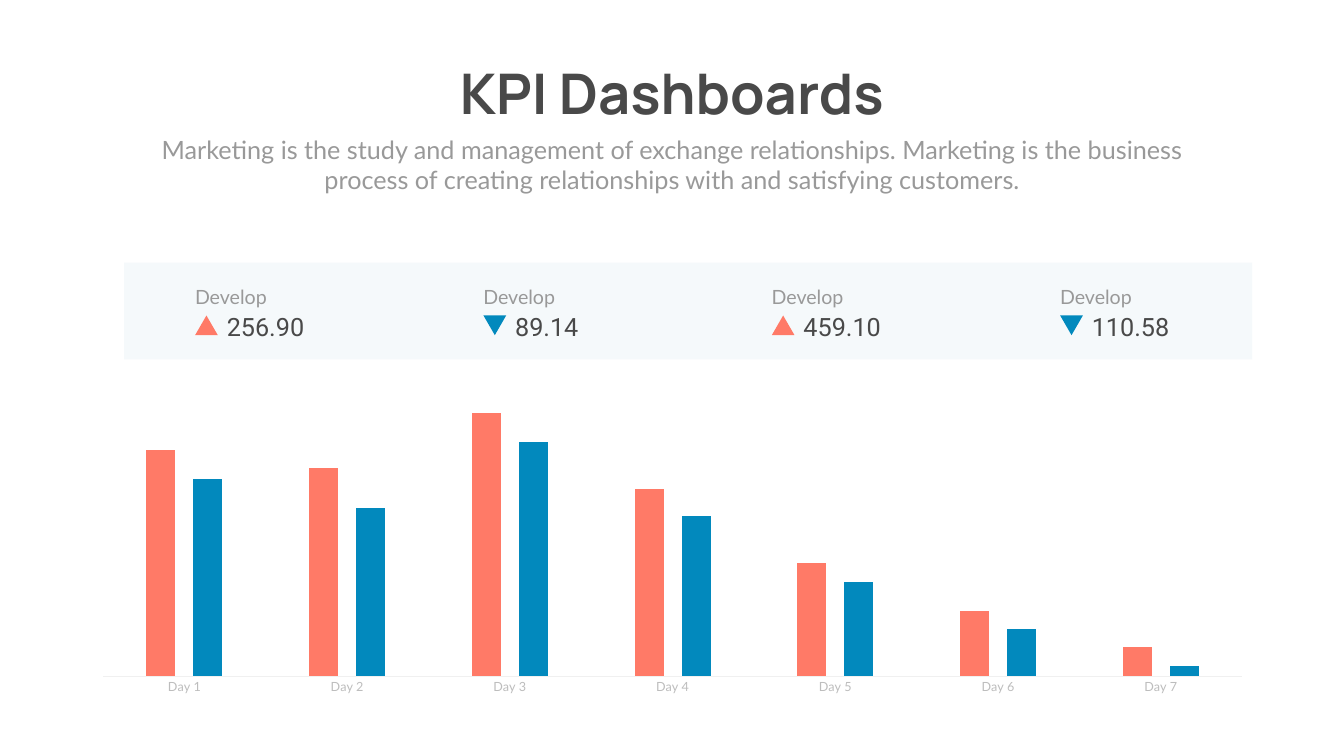
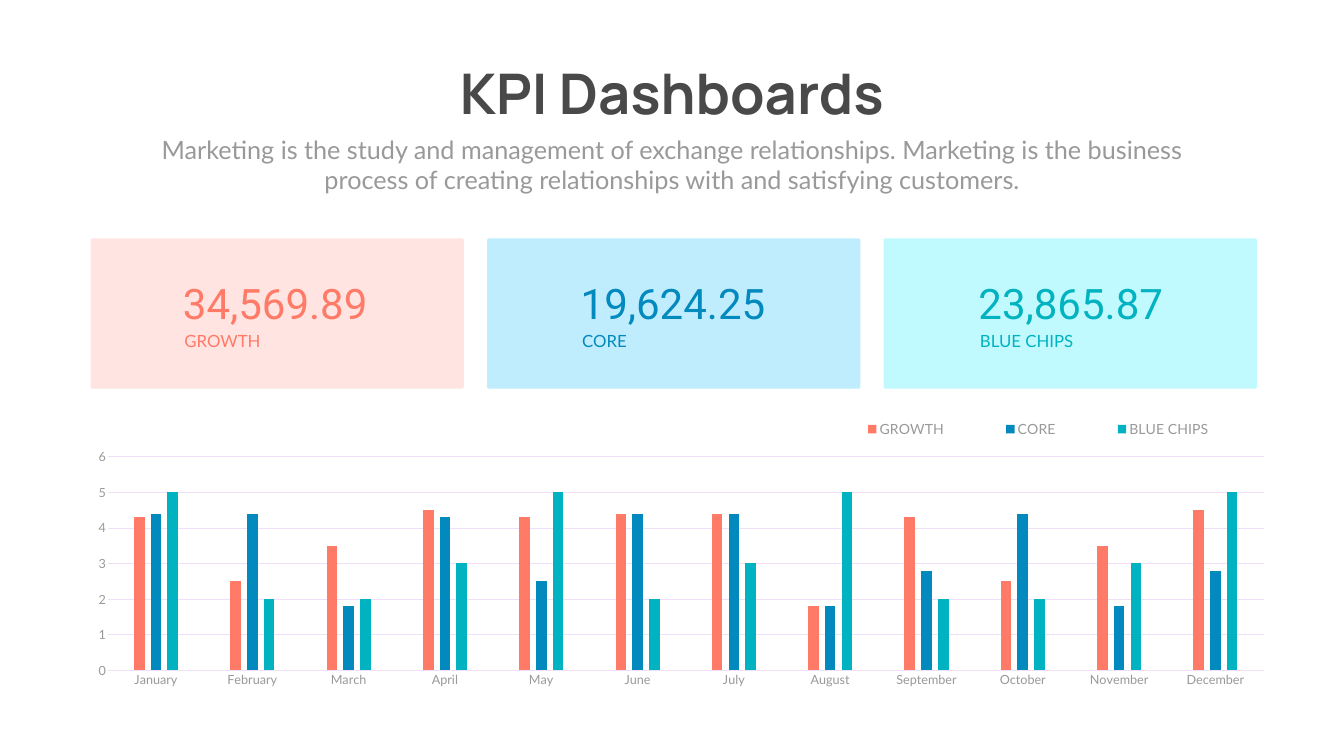
from lxml import etree
from pptx import Presentation
from pptx.chart.data import CategoryChartData
from pptx.dml.color import RGBColor
from pptx.enum.chart import XL_CHART_TYPE, XL_LEGEND_POSITION, XL_TICK_MARK
from pptx.enum.shapes import MSO_SHAPE
from pptx.enum.text import MSO_AUTO_SIZE, PP_ALIGN
from pptx.oxml.ns import qn
from pptx.util import Inches, Pt

COLUMNS = XL_CHART_TYPE.COLUMN_CLUSTERED
LEGEND_BOTTOM = XL_LEGEND_POSITION.BOTTOM
NO_TICK = XL_TICK_MARK.NONE
ROUNDED = MSO_SHAPE.ROUNDED_RECTANGLE
TRIANGLE = MSO_SHAPE.ISOSCELES_TRIANGLE
FIT_SHAPE = MSO_AUTO_SIZE.SHAPE_TO_FIT_TEXT
CENTER = PP_ALIGN.CENTER

# Shared style
CORAL, BLUE, TEAL = "FF7A67", "0289BD", "01B2C0"
DARK, GRAY, PALE_GRAY = "494949", "999999", "BDBDBD"
BAND, AXIS_LINE, GRID_LINE = "F5F9FB", "F0F0F0", "F0DFF8"
HEAD_FONT, BODY_FONT, NUMBER_FONT = "Manrope", "Lato", "Roboto"

# Content
TITLE = "KPI Dashboards"
SUBTITLE = ("Marketing is the study and management of exchange relationships. "
            "Marketing is the business process of creating relationships with "
            "and satisfying customers.")
STATS = [  # label, value, rising
    ("Develop", "256.90", True),
    ("Develop", "89.14", False),
    ("Develop", "459.10", True),
    ("Develop", "110.58", False),
]
DAYS = [f"Day {number}" for number in range(1, 8)]
DAY_SERIES = [
    ("Series 1", CORAL, [86, 79, 100, 71, 43, 25, 11]),
    ("Series 2", BLUE, [75, 64, 89, 61, 36, 18, 4]),
]
CARDS = [  # value, label, text colour, card colour
    ("34,569.89", "GROWTH", CORAL, "FFE4E1"),
    ("19,624.25", "CORE", BLUE, "C0EDFE"),
    ("23,865.87", "BLUE CHIPS", TEAL, "C0FAFF"),
]
MONTHS = ["January", "February", "March", "April", "May", "June", "July",
          "August", "September", "October", "November", "December"]
MONTH_VALUES = [
    [4.3, 2.5, 3.5, 4.5, 4.3, 4.4, 4.4, 1.8, 4.3, 2.5, 3.5, 4.5],
    [4.4, 4.4, 1.8, 4.3, 2.5, 4.4, 4.4, 1.8, 2.8, 4.4, 1.8, 2.8],
    [5, 2, 2, 3, 5, 2, 3, 5, 2, 2, 3, 5],
]
MONTH_SERIES = [(label, color, values)
                for (_, label, color, _), values in zip(CARDS, MONTH_VALUES)]


def rgb(color):
    return RGBColor.from_string(color)


def style_font(font, size, color, name=BODY_FONT, bold=False):
    font.size = Pt(size)
    font.name = name
    font.bold = bold
    font.color.rgb = rgb(color)


def add_text(page, area, text, size, color, name=BODY_FONT, bold=False,
             align=None, wrap=True, line_spacing=None):
    box = page.shapes.add_textbox(*map(Inches, area))
    frame = box.text_frame
    frame.word_wrap = wrap
    frame.auto_size = FIT_SHAPE
    para = frame.paragraphs[0]
    para.alignment = align
    if line_spacing:
        para.line_spacing = Pt(line_spacing)
    span = para.add_run()
    span.text = text
    style_font(span.font, size, color, name, bold)


def add_block(page, kind, area, color):
    block = page.shapes.add_shape(kind, *map(Inches, area))
    block.shadow.inherit = False
    block.fill.solid()
    block.fill.fore_color.rgb = rgb(color)
    block.line.fill.background()
    return block


def place_part(part, index, area, inner=False):
    """Give a chart part a fixed place, as fractions of the chart."""
    for old in part.findall(qn("c:layout")):
        part.remove(old)
    layout = etree.Element(qn("c:layout"))
    manual = etree.SubElement(layout, qn("c:manualLayout"))
    settings = [("layoutTarget", "inner")] if inner else []
    settings += [("xMode", "edge"), ("yMode", "edge")]
    settings += zip("xywh", area)
    for tag, value in settings:
        etree.SubElement(manual, qn(f"c:{tag}")).set("val", str(value))
    part.insert(index, layout)


def add_columns(page, area, categories, series, gap, overlap, top, plot_area):
    data = CategoryChartData()
    data.categories = categories
    for name, _, values in series:
        data.add_series(name, values)
    chart = page.shapes.add_chart(COLUMNS, *map(Inches, area), data).chart
    chart.has_title = False
    chart.has_legend = False
    style_font(chart.font, 18, GRAY)
    plot = chart.plots[0]
    plot.vary_by_categories = False
    plot.gap_width = gap
    plot.overlap = overlap
    for bars, (_, color, _) in zip(plot.series, series):
        bars.format.fill.solid()
        bars.format.fill.fore_color.rgb = rgb(color)
    for axis in (chart.category_axis, chart.value_axis):
        axis.major_tick_mark = NO_TICK
        axis.minor_tick_mark = NO_TICK
        axis.has_major_gridlines = False
        axis.format.line.fill.background()
        style_font(axis.tick_labels.font, 18, GRAY)
    chart.value_axis.minimum_scale = 0
    chart.value_axis.maximum_scale = top
    place_part(chart.element.find(f".//{qn('c:plotArea')}"), 0, plot_area, inner=True)
    return chart


def style_line(line, color):
    line.color.rgb = rgb(color)
    line.width = Pt(0.75)


def add_page(deck):
    page = deck.slides.add_slide(deck.slide_layouts[6])
    add_text(page, (8.67, 1.12, 9.32, 1.45), TITLE, 80, DARK, HEAD_FONT,
             bold=True, align=CENTER, wrap=False)
    add_text(page, (2.92, 2.61, 20.82, 1.31), SUBTITLE, 36, GRAY, align=CENTER)
    return page


def build_daily_page(deck):
    page = add_page(deck)
    chart = add_columns(page, (1.55, 7.7, 23.56, 6.18), DAYS, DAY_SERIES,
                        298, -62, 100, (0.021, 0.08, 0.959, 0.846))
    chart.value_axis.visible = False
    style_line(chart.category_axis.format.line, AXIS_LINE)
    chart.category_axis.tick_labels.font.color.rgb = rgb(PALE_GRAY)

    # Band with four evenly spaced figures
    band = add_block(page, ROUNDED, (2.46, 5.21, 22.38, 1.92), BAND)
    band.adjustments[0] = 0
    for index, (label, value, rising) in enumerate(STATS):
        left = 3.87 + index * 5.72
        arrow = add_block(page, TRIANGLE, (left, 6.26, 0.45, 0.39),
                          CORAL if rising else BLUE)
        arrow.rotation = 0 if rising else 180
        add_text(page, (left - 0.1, 5.51, 2.04, 0.62), label, 28, GRAY,
                 line_spacing=40.8)
        add_text(page, (left + 0.53, 6.13, 2.04, 0.71), value, 36, DARK,
                 NUMBER_FONT)


def build_monthly_page(deck):
    page = add_page(deck)
    chart = add_columns(page, (0.95, 8.08, 24.76, 5.8), MONTHS, MONTH_SERIES,
                        491, -57, 6, (0.048, 0.169, 0.926, 0.731))
    value_axis = chart.value_axis
    value_axis.major_unit = 1
    value_axis.has_major_gridlines = True
    style_line(value_axis.major_gridlines.format.line, GRID_LINE)
    chart.has_legend = True
    legend = chart.legend
    legend.position = LEGEND_BOTTOM
    legend.include_in_layout = False
    style_font(legend.font, 20, GRAY)
    place_part(chart.element.find(f".//{qn('c:legend')}"), 1,
               (0.611, 0.03, 0.365, 0.09))

    # Cards with an index value each
    for index, (value, label, color, card_color) in enumerate(CARDS):
        card = add_block(page, ROUNDED, (1.8 + index * 7.865, 4.73, 7.4, 2.98),
                         card_color)
        card.adjustments[0] = 0.01
        left = 3.53 + index * 7.89
        add_text(page, (left, 5.46, 4.3, 1.11), value, 60, color, NUMBER_FONT)
        add_text(page, (left + 0.03, 6.52, 2.95, 0.5), label, 24, color)


def main():
    deck = Presentation()
    deck.slide_width = Inches(26.66)
    deck.slide_height = Inches(15)
    build_daily_page(deck)
    build_monthly_page(deck)
    deck.save("out.pptx")


if __name__ == "__main__":
    main()
